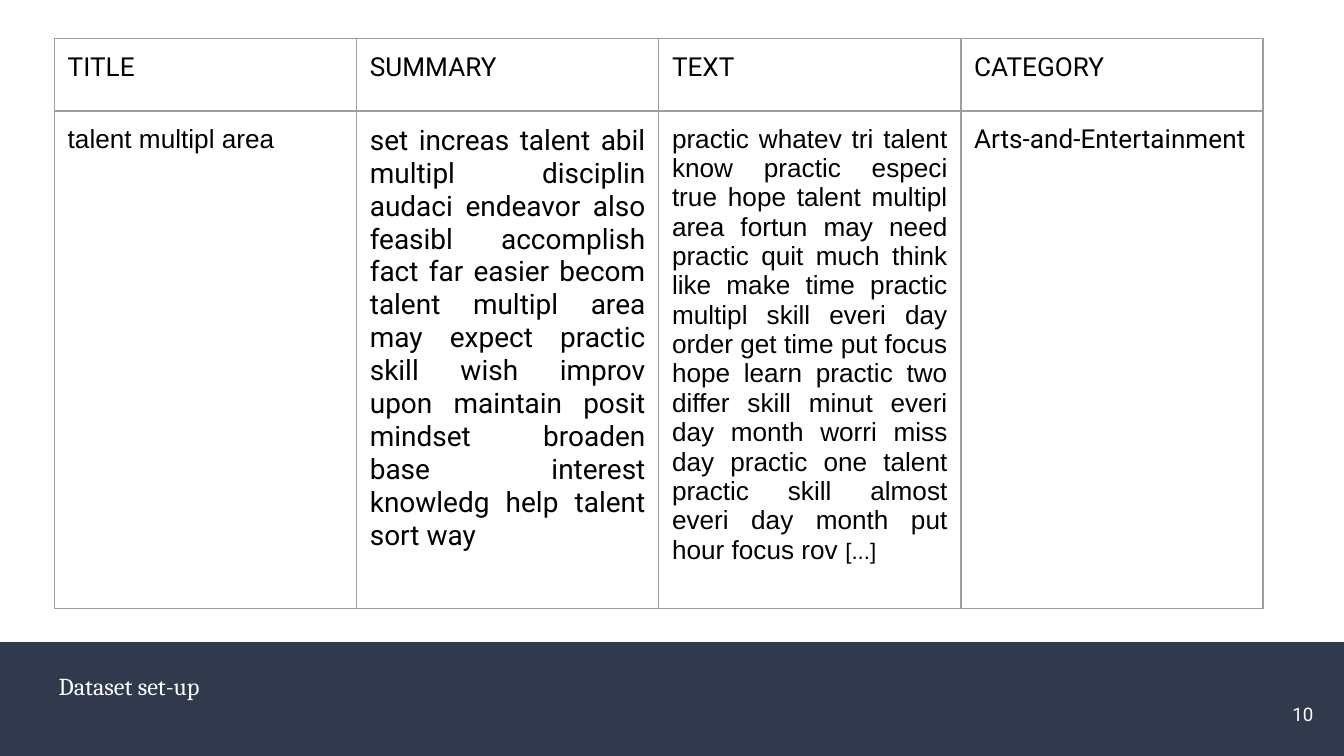
"""Build the dataset set-up slide: a sample record in a table above a footer band."""
from lxml.etree import SubElement
from pptx import Presentation
from pptx.dml.color import RGBColor
from pptx.enum.shapes import MSO_SHAPE
from pptx.enum.text import MSO_ANCHOR, PP_ALIGN
from pptx.oxml.ns import qn
from pptx.util import Cm, Pt

NAVY, WHITE, BLACK, GREY = "31394D", "FFFFFF", "000000", "9E9E9E"
INSET = 0.25
COLUMN_WIDTH = 5.71
ROW_HEIGHTS = (1.37, 8.38)

HEADINGS = ("TITLE", "SUMMARY", "TEXT", "CATEGORY")
RECORD = (
    ("talent multipl area", dict(font="Arial", align=PP_ALIGN.JUSTIFY)),
    (
        "set increas talent abil multipl disciplin audaci endeavor also feasibl "
        "accomplish fact far easier becom talent multipl area may expect practic "
        "skill wish improv upon maintain posit mindset broaden base interest "
        "knowledg help talent sort way",
        dict(size=15, align=PP_ALIGN.JUSTIFY),
    ),
    (
        "practic whatev tri talent know practic especi true hope talent multipl "
        "area fortun may need practic quit much think like make time practic "
        "multipl skill everi day order get time put focus hope learn practic two "
        "differ skill minut everi day month worri miss day practic one talent "
        "practic skill almost everi day month put hour focus rov ",
        dict(font="Arial", align=PP_ALIGN.JUSTIFY),
    ),
    ("Arts-and-Entertainment", {}),
)
ELLIPSIS = ("[...]", dict(font="Arial", size=12, align=PP_ALIGN.JUSTIFY))
TABLE_ROWS = ([(heading, {}) for heading in HEADINGS], RECORD)

FOOTER_TEXTS = (
    ("Dataset set-up", (0.86, 12.55, 22.17, 1.27), MSO_ANCHOR.TOP, 0.13,
     dict(font="Cambria", size=13, color=WHITE)),
    ("10", (23.55, 12.95, 1.52, 1.09), MSO_ANCHOR.MIDDLE, INSET,
     dict(size=10, color=WHITE, align=PP_ALIGN.RIGHT)),
)


def rgb(value):
    return RGBColor.from_string(value)


def write(frame, text, font="Roboto", size=14, color=BLACK, align=PP_ALIGN.LEFT):
    paragraph = frame.paragraphs[0]
    paragraph.alignment = align
    run = paragraph.add_run()
    run.text = text
    run.font.name = font
    run.font.size = Pt(size)
    run.font.color.rgb = rgb(color)


def set_margins(target, top=INSET):
    target.margin_left = target.margin_right = target.margin_bottom = Cm(INSET)
    target.margin_top = Cm(top)


def outline(cell):
    cell.fill.background()
    properties = cell._tc.get_or_add_tcPr()
    for position, side in enumerate(("lnL", "lnR", "lnT", "lnB")):
        line = SubElement(properties, qn(f"a:{side}"), w=str(Pt(0.75)))
        fill = SubElement(line, qn("a:solidFill"))
        SubElement(fill, qn("a:srgbClr"), val=GREY)
        properties.insert(position, line)


def add_record_table(slide):
    table = slide.shapes.add_table(
        len(TABLE_ROWS), len(HEADINGS), Cm(1.03), Cm(0.73),
        Cm(COLUMN_WIDTH * len(HEADINGS)), Cm(sum(ROW_HEIGHTS)),
    ).table
    table.first_row = table.horz_banding = False
    for column in table.columns:
        column.width = Cm(COLUMN_WIDTH)
    for row, height, contents in zip(table.rows, ROW_HEIGHTS, TABLE_ROWS):
        row.height = Cm(height)
        for cell, (text, style) in zip(row.cells, contents):
            set_margins(cell)
            outline(cell)
            write(cell.text_frame, text, **style)
    text, style = ELLIPSIS
    write(table.cell(1, HEADINGS.index("TEXT")).text_frame, text, **style)


def add_footer(slide):
    band = slide.shapes.add_shape(
        MSO_SHAPE.RECTANGLE, Cm(0), Cm(12.14), Cm(25.4), Cm(2.15))
    band.shadow.inherit = False
    band.fill.solid()
    band.fill.fore_color.rgb = rgb(NAVY)
    band.line.fill.background()
    for text, bounds, anchor, top, style in FOOTER_TEXTS:
        frame = slide.shapes.add_textbox(*map(Cm, bounds)).text_frame
        frame.word_wrap = True
        frame.vertical_anchor = anchor
        set_margins(frame, top)
        write(frame, text, **style)


def main():
    deck = Presentation()
    deck.slide_width, deck.slide_height = Cm(25.4), Cm(14.29)
    slide = deck.slides.add_slide(deck.slide_layouts[6])
    add_footer(slide)
    add_record_table(slide)
    deck.save("out.pptx")


if __name__ == "__main__":
    main()
